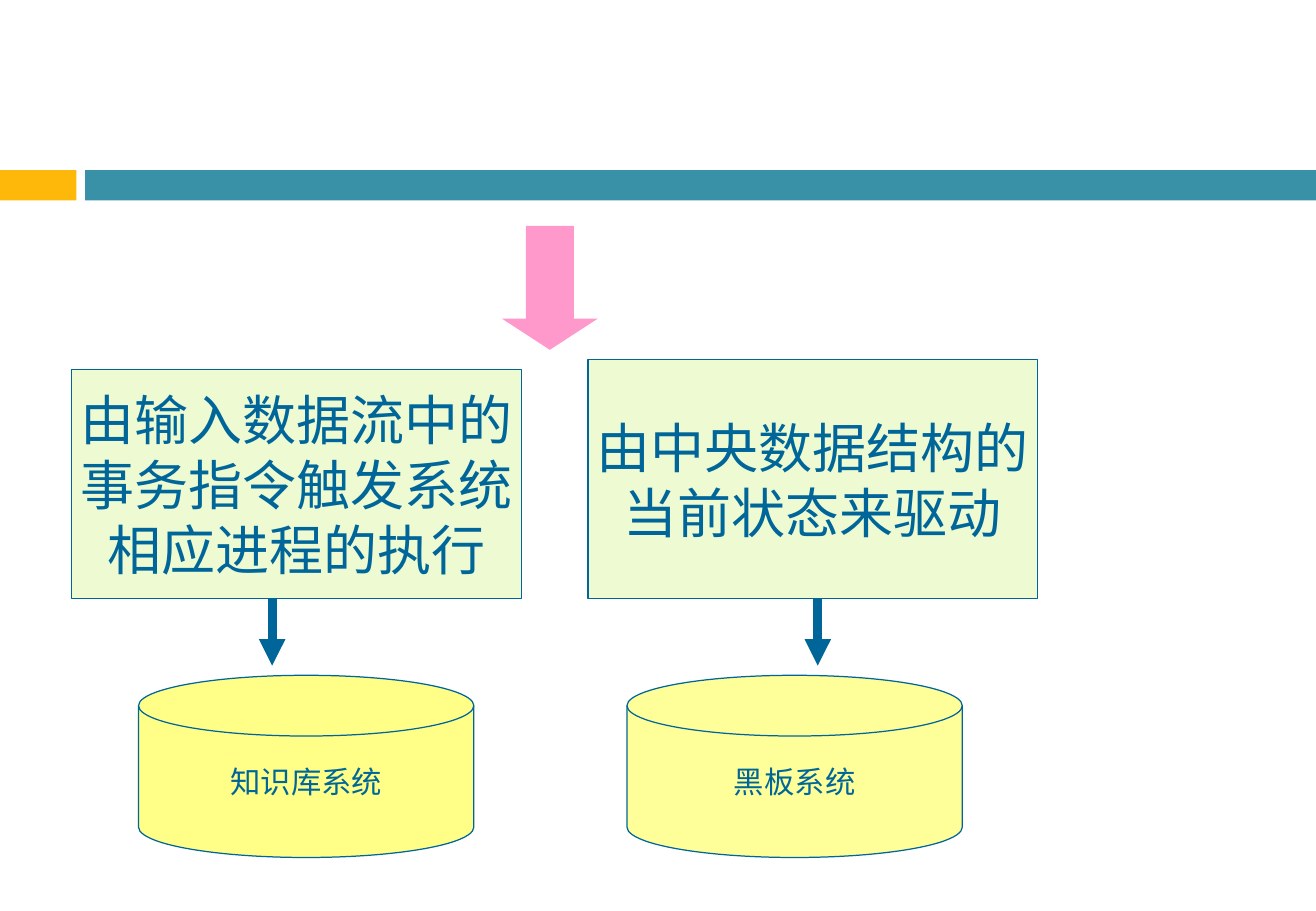
from lxml.etree import SubElement
from pptx import Presentation
from pptx.dml.color import RGBColor
from pptx.enum.shapes import MSO_CONNECTOR as Connector, MSO_SHAPE as Shape
from pptx.enum.text import MSO_ANCHOR as Anchor, PP_ALIGN as Align
from pptx.oxml.ns import qn
from pptx.util import Inches, Pt

FONT = "DejaVu Sans"
INK = RGBColor(0x00, 0x66, 0x99)
ORANGE = RGBColor(0xFE, 0xB8, 0x0A)
TEAL = RGBColor(0x38, 0x91, 0xA7)
PINK = RGBColor(0xFF, 0x99, 0xCC)
PALE_GREEN = RGBColor(0xED, 0xFA, 0xD2)
YELLOW = RGBColor(0xFF, 0xFF, 0x00)
PALE_YELLOW = RGBColor(0xFF, 0xFF, 0x99)


class Canvas:
    def __init__(self, slide):
        self.shapes = slide.shapes

    def block(self, kind, left, top, width, height, fill, alpha=None):
        block = self.shapes.add_shape(
            kind, Inches(left), Inches(top), Inches(width), Inches(height))
        block.shadow.inherit = False
        block.fill.solid()
        block.fill.fore_color.rgb = fill
        block.line.fill.background()
        if alpha is not None:
            color = block.fill._xPr.find(qn("a:solidFill"))[0]
            SubElement(color, qn("a:alpha")).set("val", str(alpha * 1000))
        return block

    def labelled(self, kind, left, top, width, height, fill, label, size, alpha=None):
        block = self.block(kind, left, top, width, height, fill, alpha)
        block.line.color.rgb = INK
        block.line.width = Pt(0.75)
        frame = block.text_frame
        frame.text = label
        frame.word_wrap = False
        frame.vertical_anchor = Anchor.MIDDLE
        for paragraph in frame.paragraphs:
            paragraph.alignment = Align.CENTER
            for run in paragraph.runs:
                run.font.name = FONT
                run.font.size = Pt(size)
                run.font.color.rgb = INK

    def arrow(self, x, top, bottom):
        arrow = self.shapes.add_connector(
            Connector.STRAIGHT, Inches(x), Inches(top), Inches(x), Inches(bottom))
        arrow.line.color.rgb = INK
        arrow.line.width = Pt(5.25)
        SubElement(arrow.line._get_or_add_ln(), qn("a:tailEnd")).set("type", "triangle")
        SubElement(arrow._element.spPr, qn("a:effectLst"))


def main():
    deck = Presentation()
    deck.slide_width, deck.slide_height = Inches(10.83), Inches(7.5)
    canvas = Canvas(deck.slides.add_slide(deck.slide_layouts[6]))

    canvas.block(Shape.RECTANGLE, 0, 1.4, 0.63, 0.25, ORANGE)
    canvas.block(Shape.RECTANGLE, 0.7, 1.4, 10.13, 0.25, TEAL)

    trigger_bottom = 4.93
    branches = [
        (0.59, 3.04, "由输入数据流中的\n事务指令触发系统\n相应进程的执行",
         2.24, 1.14, "知识库系统", YELLOW, 47),
        (4.84, 2.96, "由中央数据结构的\n当前状态来驱动",
         6.73, 5.16, "黑板系统", PALE_YELLOW, None),
    ]
    for left, top, trigger, arrow_x, disk_left, system, fill, alpha in branches:
        canvas.labelled(Shape.RECTANGLE, left, top, 3.7, trigger_bottom - top,
                        PALE_GREEN, trigger, 32)
        canvas.arrow(arrow_x, trigger_bottom, 5.48)
        canvas.labelled(Shape.FLOWCHART_MAGNETIC_DISK, disk_left, 5.56, 2.76, 1.5,
                        fill, system, 18, alpha)

    entry = canvas.block(Shape.DOWN_ARROW, 4.13, 1.86, 0.79, 1.02, PINK)
    entry.adjustments[1] = 0.325

    deck.save("out.pptx")


if __name__ == "__main__":
    main()
